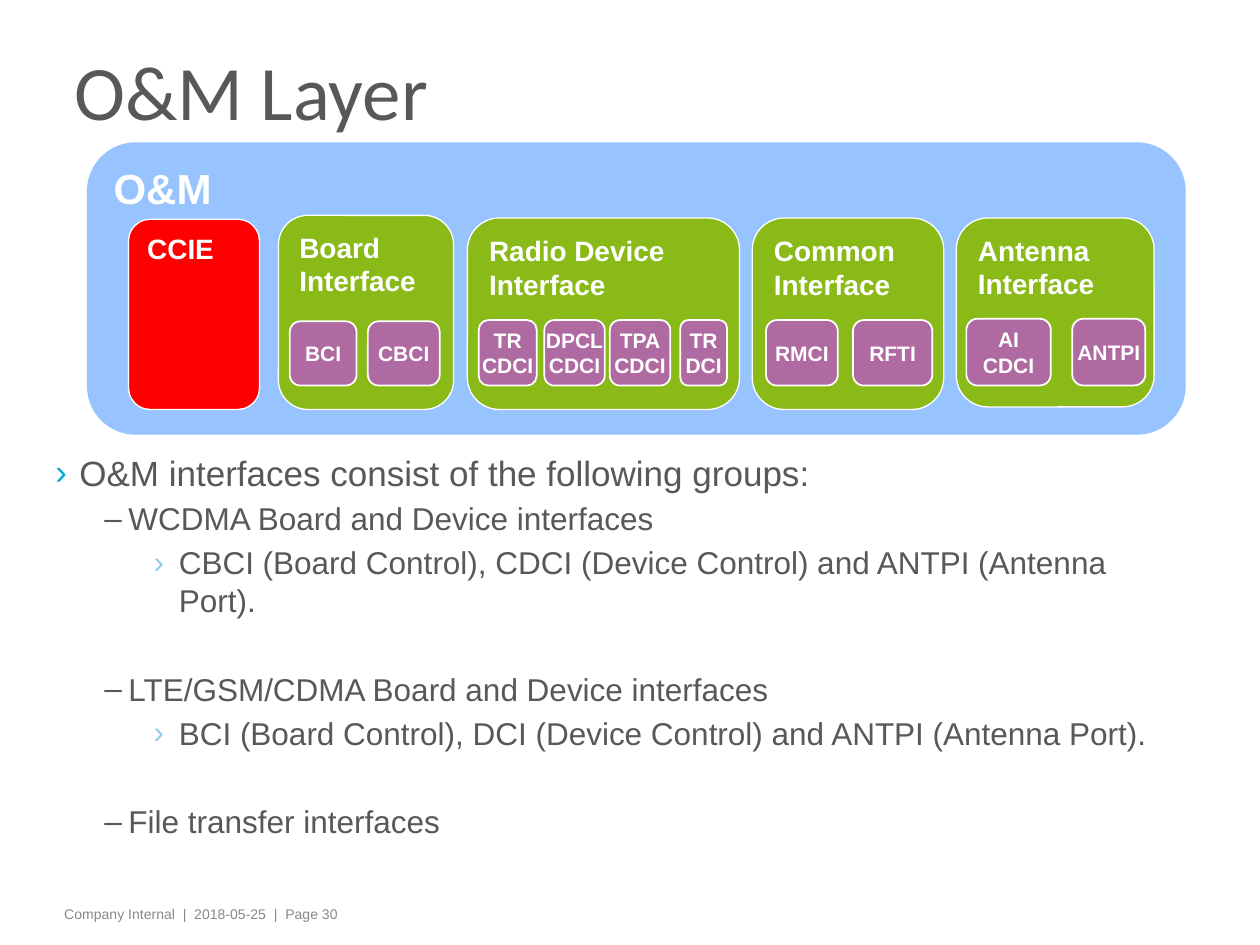
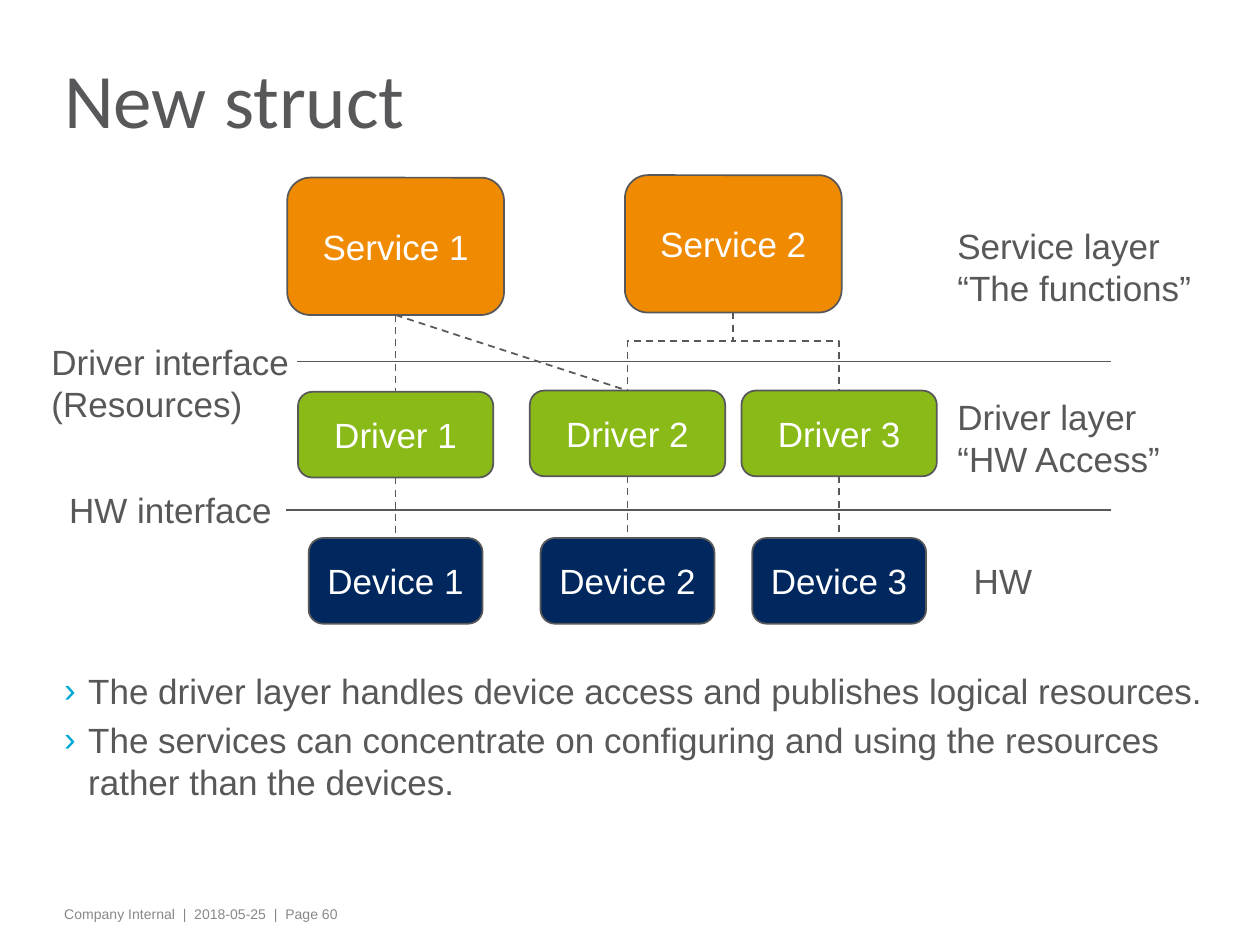
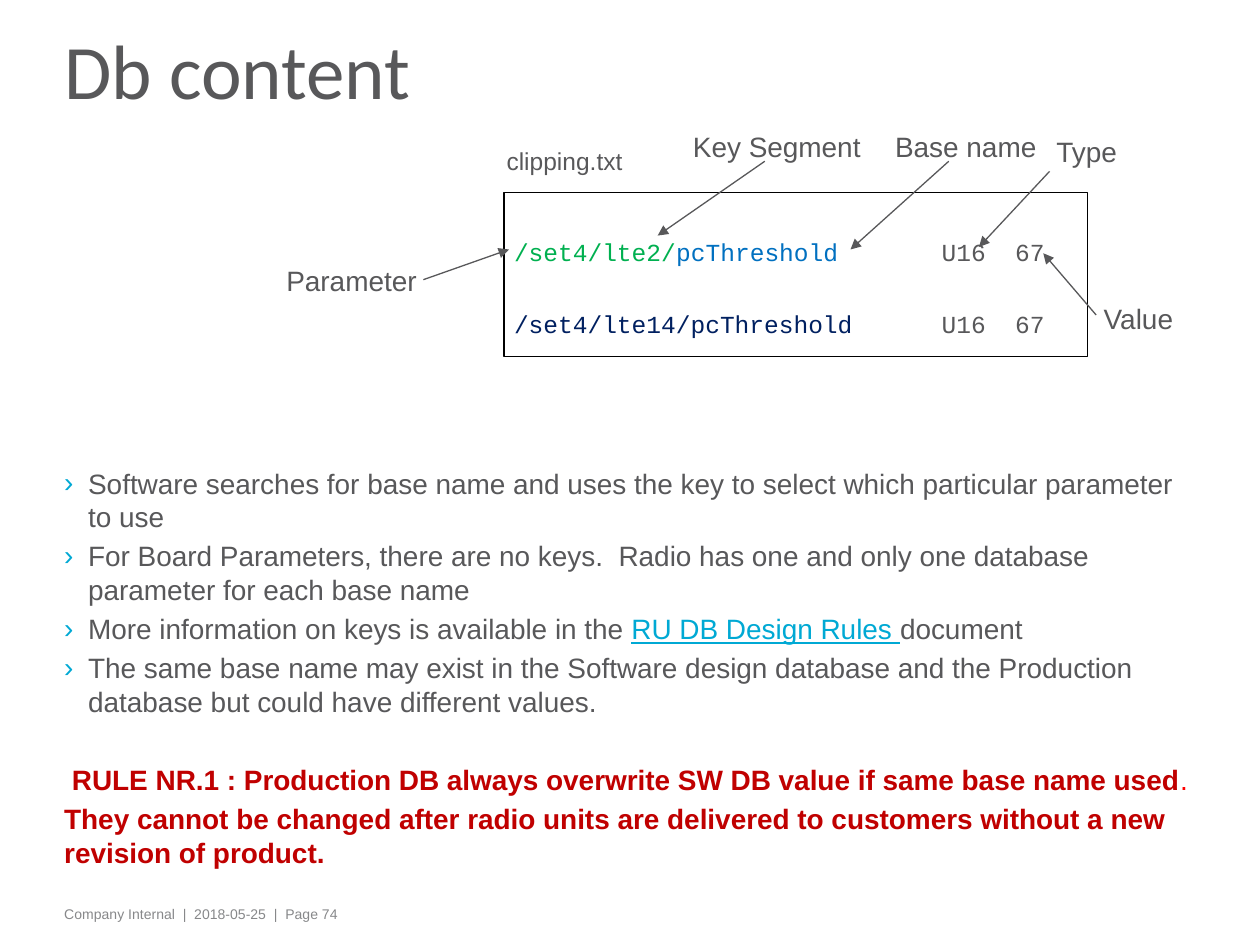
from lxml import etree
from pptx import Presentation
from pptx import util as u
from pptx.dml.color import RGBColor
from pptx.enum import dml, shapes, text
from pptx.oxml.ns import qn

# Colours
WHITE = RGBColor(0xFF, 0xFF, 0xFF)
BLACK = RGBColor(0x00, 0x00, 0x00)
GREY = RGBColor(0x58, 0x58, 0x5A)
PALE = RGBColor(0x87, 0x88, 0x8A)
SKY = RGBColor(0x97, 0xC3, 0xFF)
GREEN = RGBColor(0x89, 0xBA, 0x17)
PURPLE = RGBColor(0xB0, 0x6A, 0xA2)
RED = RGBColor(0xFF, 0x00, 0x00)
ORANGE = RGBColor(0xF0, 0x8A, 0x00)
NAVY = RGBColor(0x00, 0x28, 0x5E)
CYAN = RGBColor(0x00, 0xA9, 0xD4)
ICE = RGBColor(0x92, 0xCC, 0xE5)
RULE = RGBColor(0xC0, 0x00, 0x00)
LEAF = RGBColor(0x00, 0xB0, 0x50)
BLUE = RGBColor(0x00, 0x70, 0xC0)
INK = RGBColor(0x00, 0x20, 0x60)

LEFT, MID = text.PP_ALIGN.LEFT, text.PP_ALIGN.CENTER
TOP, HALF = text.MSO_ANCHOR.TOP, text.MSO_ANCHOR.MIDDLE
ROUND = shapes.MSO_SHAPE.ROUNDED_RECTANGLE
LINE = shapes.MSO_CONNECTOR.STRAIGHT
ELBOW = shapes.MSO_CONNECTOR.ELBOW

# Bullet styles by level: left margin, hang, sign, colour
MARKS = [(0.19, 0.19, "›", CYAN), (0.58, 0.19, "–", GREY), (0.98, 0.2, "›", ICE)]


# Text
def style(run, size, color, font="Arial", bold=False):
    run.font.size = u.Pt(size)
    run.font.name = font
    run.font.bold = bold
    run.font.color.rgb = color


def frame(shape, ins=(0.1, 0.05), anchor=TOP, wrap=True):
    box = shape.text_frame
    box.word_wrap = wrap
    box.vertical_anchor = anchor
    box.margin_left = box.margin_right = u.Inches(ins[0])
    box.margin_top = box.margin_bottom = u.Inches(ins[1])
    return box


def fill_text(box, words, size, color, font="Arial", bold=False, align=LEFT):
    box.text = words
    par = box.paragraphs[0]
    par.alignment = align
    for run in par.runs:
        style(run, size, color, font, bold)
    return par


def spans(par, parts, size, font="Arial", bold=False):
    for words, color in parts:
        run = par.add_run()
        run.text = words
        style(run, size, color, font, bold)
    return par.runs


def add_par(box, num, gap):
    if num == 0:
        return box.paragraphs[0]
    par = box.add_paragraph()
    par.space_before = u.Pt(gap)
    return par


def mark(par, level):
    left, hang, sign, color = MARKS[level]
    par.level = level
    props = par._p.get_or_add_pPr()
    props.set("marL", str(u.Inches(left)))
    props.set("indent", str(-u.Inches(hang)))
    tint = etree.SubElement(props, qn("a:buClr"))
    etree.SubElement(tint, qn("a:srgbClr")).set("val", str(color))
    etree.SubElement(props, qn("a:buFont")).set("typeface", "Arial")
    etree.SubElement(props, qn("a:buChar")).set("char", sign)


def text_box(slide, at, **opts):
    return frame(slide.shapes.add_textbox(*map(u.Inches, at)), **opts)


def label(slide, at, words, size, ins=(0.1, 0.05), align=LEFT):
    box = text_box(slide, at, ins=ins, wrap=False)
    fill_text(box, words, size, GREY, align=align)


def bullets(slide, at, rows):
    """Each row: level, size, space before, spans."""
    box = text_box(slide, at, ins=(0.08, 0))
    for num, (level, size, gap, parts) in enumerate(rows):
        par = add_par(box, num, gap)
        mark(par, level)
        spans(par, parts, size)
    return box


# Shapes and lines
def block(slide, at, color, edge=None, width=1.0, kind=ROUND):
    shape = slide.shapes.add_shape(kind, *map(u.Inches, at))
    shape.shadow.inherit = False
    if color is None:
        shape.fill.background()
    else:
        shape.fill.solid()
        shape.fill.fore_color.rgb = color
    if edge is None:
        shape.line.fill.background()
    else:
        shape.line.color.rgb = edge
        shape.line.width = u.Pt(width)
    return shape


def card(slide, at, color, words, size=16, edge=WHITE):
    shape = block(slide, at, color, edge, 0.75)
    fill_text(frame(shape, wrap=False), words, size, WHITE, bold=True)


def cell(slide, at, words):
    box = frame(block(slide, at, PURPLE, WHITE), anchor=HALF, wrap=False)
    fill_text(box, words, 12, WHITE, bold=True, align=MID)


def node(slide, mid, top, size, color, words):
    wide, high = size
    shape = block(slide, (mid - wide / 2, top, wide, high), color, GREY)
    box = frame(shape, ins=(0.08, 0.05), anchor=HALF, wrap=False)
    fill_text(box, words, 20, WHITE, align=MID)
    return shape


def line(slide, start, end, width=1.0, kind=LINE, dash=False):
    link = slide.shapes.add_connector(kind, *map(u.Inches, start + end))
    link.line.color.rgb = GREY
    link.line.width = u.Pt(width)
    if dash:
        link.line.dash_style = dml.MSO_LINE.DASH
    etree.SubElement(link.element.spPr, qn("a:effectLst"))
    return link


def arrow(slide, start, end):
    link = line(slide, start, end, 0.75)
    tail = etree.SubElement(link.line._get_or_add_ln(), qn("a:tailEnd"))
    tail.set("type", "triangle")


def join(slide, upper, lower):
    link = line(slide, (0, 0), (1, 1), dash=True)
    link.begin_connect(upper, 2)
    link.end_connect(lower, 0)


def fork(slide, start, end, bend):
    """Elbow that leaves downwards, turned from its sideways form."""
    (x1, y1), (x2, y2) = start, end
    wide, high = y2 - y1, abs(x2 - x1)
    left, top = (x1 + x2 - wide) / 2, (y1 + y2 - high) / 2
    link = line(slide, (left, top), (left + wide, top + high), kind=ELBOW, dash=True)
    form = link.element.spPr.find(qn("a:xfrm"))
    form.set("rot", str((90 if x2 < x1 else 270) * 60000))
    form.set("flipH", "0" if x2 < x1 else "1")
    guide = etree.SubElement(link.element.spPr.find(".//" + qn("a:avLst")), qn("a:gd"))
    guide.set("name", "adj1")
    guide.set("fmla", f"val {round(bend * 100000)}")


# Shared slide parts
def new_slide(deck, title, at, page):
    slide = deck.slides.add_slide(deck.slide_layouts[6])
    foot = text_box(slide, (0.43, 7.14, 8.09, 0.24), ins=(0.08, 0.05))
    fill_text(foot, f"Company Internal  |  2018-05-25  |  Page {page}", 8, PALE)
    head = text_box(slide, (*at, 8.2, 1.19), ins=(0.08, 0), anchor=HALF)
    fill_text(head, title, 44, GREY, "Calibri").line_spacing = 0.75
    return slide


# Slide 1: interface groups
def layer_slide(deck):
    slide = new_slide(deck, "O&M Layer", (0.51, 0.2), 30)
    card(slide, (0.69, 1.13, 8.72, 2.32), SKY, "O&M", 24, None)
    card(slide, (1.02, 1.74, 1.04, 1.51), RED, "CCIE")
    groups = [
        ((2.21, 1.71, 1.39, 1.54), "Board\vInterface", 2.55, 0.51,
         [(2.3, 0.53, "BCI"), (2.92, 0.57, "CBCI")]),
        ((3.71, 1.73, 2.16, 1.52), "Radio Device\vInterface", 2.54, 0.52,
         [(3.8, 0.46, "TR\vCDCI"), (4.32, 0.48, "DPCL\vCDCI"),
          (4.84, 0.48, "TPA\vCDCI"), (5.4, 0.37, "TR\vDCI")]),
        ((5.97, 1.73, 1.52, 1.52), "Common\vInterface", 2.54, 0.52,
         [(6.08, 0.57, "RMCI"), (6.77, 0.63, "RFTI")]),
        ((7.59, 1.73, 1.57, 1.5), "Antenna\vInterface", 2.53, 0.53,
         [(7.67, 0.67, "AI\vCDCI"), (8.51, 0.58, "ANTPI")]),
    ]
    for at, name, top, high, cells in groups:
        card(slide, at, GREEN, name)
        for left, wide, words in cells:
            cell(slide, (left, top, wide, high), words)
    rows = [
        (0, 20, 0, "O&M interfaces consist of the following groups:"),
        (1, 18, 3.6, "WCDMA Board and Device interfaces"),
        (2, 18, 3.6, "CBCI (Board Control), CDCI (Device Control) and ANTPI (Antenna Port)."),
        (1, 18, 29, "LTE/GSM/CDMA Board and Device interfaces"),
        (2, 18, 3.6, "BCI (Board Control), DCI (Device Control) and ANTPI (Antenna Port)."),
        (1, 18, 29, "File transfer interfaces"),
    ]
    bullets(slide, (0.36, 3.58, 9.13, 3.35),
            [(level, size, gap, [(words, GREY)]) for level, size, gap, words in rows])


# Slide 2: services, drivers and devices
def struct_slide(deck):
    slide = new_slide(deck, "New struct", (0.43, 0.26), 60)
    rows = ["The driver layer handles device access and publishes logical resources.",
            "The services can concentrate on configuring and using the resources "
            "rather than the devices."]
    bullets(slide, (0.43, 5.31, 9.33, 1.88),
            [(0, 20, 4, [(words, GREY)]) for words in rows])

    for left, high in [(2.36, 2.87), (2.27, 4.05)]:
        line(slide, (left, high), (8.82, high))
    for at, words in [
        ((0.31, 2.65, 2.1, 0.77), "Driver interface\v(Resources)"),
        ((0.45, 3.83, 1.82, 0.44), "HW interface"),
        ((7.5, 1.73, 2.07, 0.77), "Service layer\v“The functions”"),
        ((7.5, 3.09, 1.83, 0.77), "Driver layer\v“HW Access”"),
        ((7.63, 4.39, 0.67, 0.44), "HW"),
    ]:
        label(slide, at, words, 20)

    first = node(slide, 3.14, 1.41, (1.72, 1.09), ORANGE, "Service 1")
    node(slide, 5.82, 1.39, (1.72, 1.09), ORANGE, "Service 2")
    drivers = []
    for num, (mid, top) in enumerate([(3.14, 3.11), (4.98, 3.1), (6.66, 3.1)], 1):
        driver = node(slide, mid, top, (1.55, 0.68), GREEN, f"Driver {num}")
        device = node(slide, mid, 4.27, (1.38, 0.68), NAVY, f"Device {num}")
        join(slide, driver, device)
        drivers.append(driver)
    for driver in drivers[:2]:
        join(slide, first, driver)
    for mid in (4.98, 6.66):
        fork(slide, (5.82, 2.48), (mid, 3.1), 0.37)


# Slide 3: database entry and rules
def db_slide(deck):
    slide = new_slide(deck, "Db content", (0.43, 0.03), 74)
    rows = [
        [("Software searches for base name and uses the key to select which "
          "particular parameter to use", GREY)],
        [("For Board Parameters, there are no keys.  Radio has one and only one "
          "database parameter for each base name", GREY)],
        [("More information on keys is available in the ", GREY),
         ("RU DB Design Rules ", CYAN), ("document", GREY)],
        [("The same base name may exist in the Software design database and the "
          "Production database but could have different values.", GREY)],
    ]
    box = bullets(slide, (0.43, 3.7, 9.13, 3.51),
                  [(0, 16, 3.2, parts) for parts in rows])
    box.paragraphs[2].runs[1].font.underline = True
    runs = spans(add_par(box, 4, 25.5),
                 [(" RULE NR.1 : Production DB always overwrite SW DB value if same "
                   "base name used", RULE), (".", RED)], 16, bold=True)
    runs[1].font.bold = False
    spans(add_par(box, 5, 3.2),
          [("They cannot be changed after radio units are delivered to customers "
            "without a new revision of product.", RULE)], 16, bold=True)

    # File clipping
    sheet = block(slide, (4, 1.53, 4.63, 1.3), None, BLACK, 0.75,
                  shapes.MSO_SHAPE.RECTANGLE)
    code = frame(sheet, ins=(0.08, 0))
    code.margin_top = u.Inches(0.35)
    for num, parts in enumerate([
        [("/set4/lte2/", LEAF), ("pcThreshold       ", BLUE), ("U16  67", GREY)],
        [("/set4/lte14/pcThreshold      ", INK), ("U16  67", GREY)],
    ]):
        par = add_par(code, num, 24.5)
        par.alignment = LEFT
        spans(par, parts, 14, "Courier New")
    label(slide, (3.94, 1.16, 1.09, 0.24), "clipping.txt", 14, (0.08, 0))

    # Callouts
    for at, words, start, end in [
        ((7, 1.03, 1.33, 0.21), "Base name", (7.53, 1.28), (6.75, 1.98)),
        ((5.41, 1.03, 1.51, 0.27), "Key Segment", (6.07, 1.28), (5.22, 1.87)),
        ((8.66, 2.39, 0.75, 0.21), "Value", (8.7, 2.5), (8.28, 2.01)),
        ((2.17, 2.09, 1.24, 0.21), "Parameter", (3.36, 2.22), (4.04, 1.98)),
        ((8.29, 1.07, 0.67, 0.21), "Type", (8.33, 1.36), (7.77, 1.96)),
    ]:
        label(slide, at, words, 16, (0.08, 0), MID)
        arrow(slide, start, end)


def main():
    deck = Presentation()
    deck.slide_width, deck.slide_height = u.Inches(10), u.Inches(7.5)
    layer_slide(deck)
    struct_slide(deck)
    db_slide(deck)
    deck.save("out.pptx")


if __name__ == "__main__":
    main()
